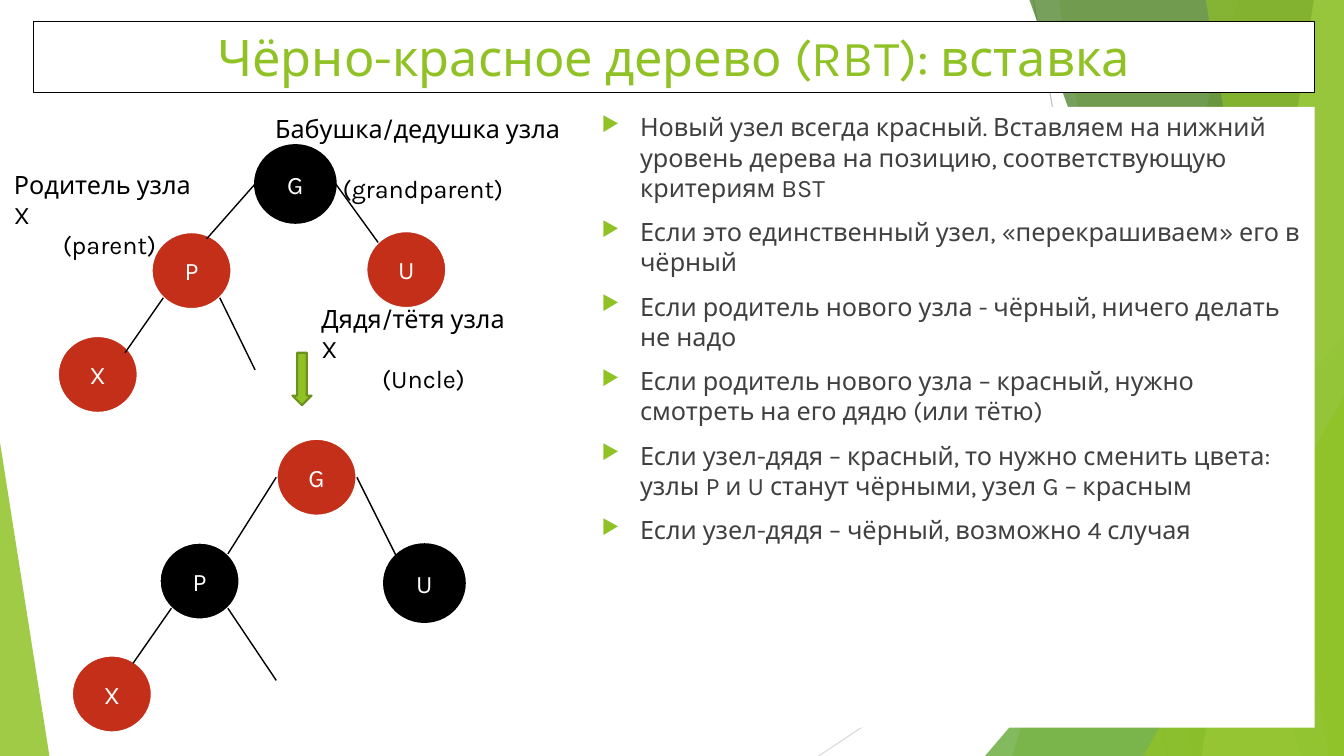
from lxml import etree
from pptx import Presentation
from pptx import util as u
from pptx.dml.color import RGBColor
from pptx.enum import shapes, text
from pptx.oxml.ns import qn

THEME = dict(font="Karla", title=36, body=18, green="90C226", dark_green="6B901C",
             red="C42F1A", black="000000", white="FFFFFF", grey="404040")

TITLE = "Чёрно-красное дерево (RBT): вставка"
RULES = [
    "Новый узел всегда красный. Вставляем на нижний уровень дерева на позицию, "
    "соответствующую критериям BST",
    "Если это единственный узел, «перекрашиваем» его в чёрный",
    "Если родитель нового узла - чёрный, ничего делать не надо",
    "Если родитель нового узла – красный, нужно смотреть на его дядю (или тётю)",
    "Если узел-дядя – красный, то нужно сменить цвета: узлы P и U станут чёрными, "
    "узел G – красным",
    "Если узел-дядя – чёрный, возможно 4 случая",
]
LABELS = [  # left, top, width, lines
    (0.04, 1.63, 2.09, ("Родитель узла X", "(parent)")),
    (2.63, 1.07, 3.13, ("Бабушка/дедушка узла X", "(grandparent)")),
    (3.09, 2.96, 2.22, ("Дядя/тётя узла X", "(Uncle)")),
]
# Node: left, top, fill, outline, outline width. Ends of edges: node port or point
BEFORE = dict(
    nodes=dict(G=(2.53, 1.44, "black", "black", 1.5), P=(1.5, 2.3, "red", "white", 2),
               U=(3.63, 2.29, "red", "white", 2), X=(0.57, 3.33, "red", "white", 2)),
    edges=[((2.05, 2.37), "G left"), ("U top-left", "G right"),
           ((1.24, 3.5), "P bottom-left"), ("P bottom-right", (2.53, 3.67))])
AFTER = dict(
    nodes=dict(G=(2.74, 4.35, "red", "white", 2), P=(1.58, 5.38, "black", "white", 2),
               U=(3.81, 5.4, "black", "black", 1.5), X=(0.71, 6.5, "red", "white", 2)),
    edges=[("P top-right", "G left"), ("U top-left", "G right"),
           ((1.32, 6.58), "P bottom-left"), ("P bottom-right", (2.74, 6.75))])
NODE_W, NODE_H = 0.8, 0.77
PORTS = {"left": (0, 0.5), "right": (1, 0.5), "top-left": (0.15, 0.15),
         "top-right": (0.85, 0.15), "bottom-left": (0.15, 0.85), "bottom-right": (0.85, 0.85)}

# Background: lines, then facets as (points, colour, opacity)
RAYS = [((10.25, 0), (11.58, 7.5), "BFBFBF"), ((13.33, 4.03), (8.12, 7.5), "D9D9D9")]
W, H = 13.33, 7.5


def right_band(top, bottom):
    return [(top, 0), (W, 0), (W, H), (bottom, H)]


FACETS = [
    (right_band(12.28, 10.04), "90C226", 30),
    (right_band(10.5, 11.83), "90C226", 20),
    ([(W, 3.33), (W, H), (9.77, H)], "54A021", 72),
    (right_band(10.21, 12.91), "3F7819", 70),
    (right_band(13.03, 11.92), "C0E474", 70),
    (right_band(11.96, 13.18), "90C226", 65),
    ([(W, 3.93), (W, H), (11.34, H)], "90C226", 80),
    ([(0, 4.39), (0.49, H), (0, H)], "90C226", 85),
]

prs = Presentation()
prs.slide_width, prs.slide_height = u.Inches(W), u.Inches(H)
slide = prs.slides.add_slide(prs.slide_layouts[6])
S = shapes.MSO_SHAPE


def rgb(c):
    return RGBColor.from_string(THEME.get(c, c))


def paint(sp, fill, line=None, width=1):
    sp.shadow.inherit = False
    sp.fill.solid()
    sp.fill.fore_color.rgb = rgb(fill)
    if line:
        sp.line.color.rgb, sp.line.width = rgb(line), u.Pt(width)
    else:
        sp.line.fill.background()
    return sp


def add_shape(kind, box, *style):
    return paint(slide.shapes.add_shape(kind, *map(u.Inches, box)), *style)


def add_line(start, end, color, width):
    ln = slide.shapes.add_connector(shapes.MSO_CONNECTOR.STRAIGHT,
                                    *map(u.Inches, (*start, *end)))
    ln.line.color.rgb, ln.line.width = rgb(color), u.Pt(width)
    etree.SubElement(ln._element.spPr, qn("a:effectLst"))


def write(sp, lines, color, size="body", aligns=("LEFT",), anchor="TOP"):
    tf = sp.text_frame
    tf.word_wrap, tf.vertical_anchor = True, text.MSO_ANCHOR[anchor]
    for i, line in enumerate(lines):
        p = tf.paragraphs[0] if i == 0 else tf.add_paragraph()
        p.alignment = text.PP_ALIGN[aligns[min(i, len(aligns) - 1)]]
        r = p.add_run()
        r.text = line
        r.font.color.rgb = rgb(color)
        for name, value in dict(name=THEME["font"], size=u.Pt(THEME[size])).items():
            setattr(r.font, name, value)
    return tf


def add_bullet(p):
    pPr = p._p.get_or_add_pPr()
    pPr.set("marL", str(u.Inches(0.38)))
    pPr.set("indent", str(-u.Inches(0.38)))
    color = etree.SubElement(pPr, qn("a:buClr"))
    etree.SubElement(color, qn("a:srgbClr"), val=THEME["green"])
    etree.SubElement(pPr, qn("a:buSzPct"), val="80000")
    etree.SubElement(pPr, qn("a:buChar"), char="▶")


def draw_tree(nodes, edges):
    def locate(end):
        if not isinstance(end, str):
            return end
        node, port = end.split()
        (x, y), (fx, fy) = nodes[node][:2], PORTS[port]
        return x + fx * NODE_W, y + fy * NODE_H

    for name, (x, y, *style) in nodes.items():
        sp = add_shape(S.OVAL, (x, y, NODE_W, NODE_H), *style)
        write(sp, [name], "white", aligns=("CENTER",), anchor="MIDDLE")
    for start, end in edges:
        add_line(locate(start), locate(end), "black", 1)


# Background
for start, end, color in RAYS:
    add_line(start, end, color, 0.75)
for points, color, opacity in FACETS:
    pts = [(u.Inches(x), u.Inches(y)) for x, y in points]
    fb = slide.shapes.build_freeform(*pts[0])
    fb.add_line_segments(pts[1:], close=True)
    sp = paint(fb.convert_to_shape(), color)
    clr = sp._element.spPr.find(qn("a:solidFill"))[0]
    etree.SubElement(clr, qn("a:alpha"), val=str(opacity * 1000))

# Insertion rules
tf = write(add_shape(S.RECTANGLE, (5.87, 1.06, 7.17, 6.16), "white"), RULES, "grey")
for p in tf.paragraphs:
    p.space_before = u.Pt(10)
    add_bullet(p)

# Title
sp = add_shape(S.RECTANGLE, (0.33, 0.21, 12.71, 0.71), "white", "black", 0.75)
write(sp, [TITLE], "green", "title", ("CENTER",))

# Tree before recolouring, with family labels
draw_tree(**BEFORE)
for x, y, w, lines in LABELS:
    tb = slide.shapes.add_textbox(*map(u.Inches, (x, y, w, 0.71)))
    write(tb, lines, "black", aligns=("LEFT", "CENTER"))

# Tree after recolouring
draw_tree(**AFTER)
add_shape(S.DOWN_ARROW, (2.9, 3.5, 0.19, 0.52), "green", "dark_green", 1.5)

prs.save("out.pptx")
